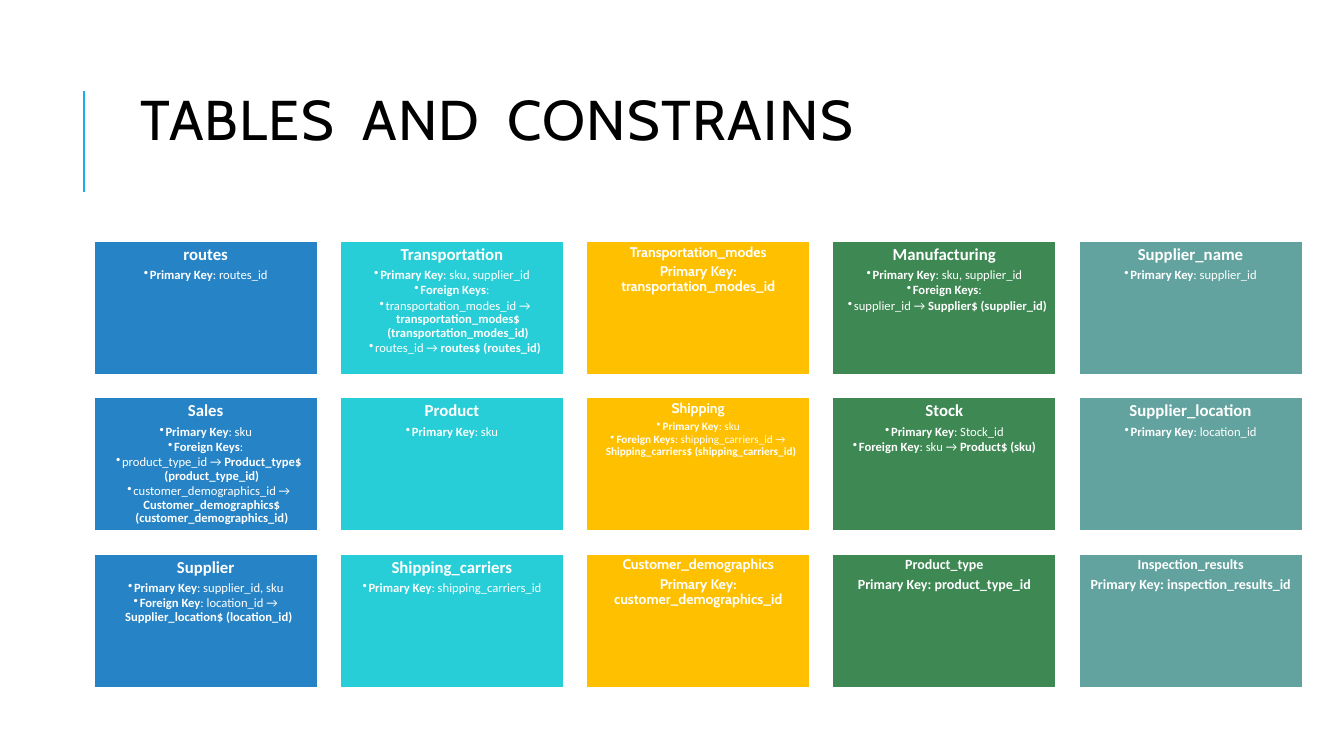
from lxml import etree
from pptx import Presentation
from pptx import util as u
from pptx.dml.color import RGBColor
from pptx.enum import shapes, text
from pptx.oxml.ns import qn

COLUMN_COLORS = ["2683C6", "27CED7", "FFC000", "3E8853", "62A39F"]
GOLD = "FFC000"

# name, font, heading size, detail size, [(level, text with *bold* parts)]
CARDS = [
    [
        ("routes", "Calibri", 12, 9, [(1, "*Primary Key*: routes_id")]),
        ("Transportation", "Calibri", 12, 9, [
            (1, "*Primary Key*: sku, supplier_id"),
            (1, "*Foreign Keys*:"),
            (2, "transportation_modes_id → *transportation_modes$ (transportation_modes_id)*"),
            (2, "routes_id → *routes$ (routes_id)*")]),
        ("Transportation_modes", "Cabin", 10, 10,
         [(0, "*Primary Key: transportation_modes_id*")]),
        ("Manufacturing", "Calibri", 12, 9, [
            (1, "*Primary Key*: sku, supplier_id"),
            (1, "*Foreign Keys*:"),
            (2, "supplier_id → *Supplier$ (supplier_id)*")]),
        ("Supplier_name", "Calibri", 12, 9, [(1, "*Primary Key*: supplier_id")]),
    ],
    [
        ("Sales", "Calibri", 12, 9, [
            (1, "*Primary Key*: sku"),
            (1, "*Foreign Keys*:"),
            (2, "product_type_id → *Product_type$ (product_type_id)*"),
            (2, "customer_demographics_id → *Customer_demographics$ (customer_demographics_id)*")]),
        ("Product", "Calibri", 12, 9, [(1, "*Primary Key*: sku")]),
        ("Shipping", "Cabin", 10, 8, [
            (1, "*Primary Key*: sku"),
            (1, "*Foreign Keys*: shipping_carriers_id → *Shipping_carriers$ (shipping_carriers_id)*")]),
        ("Stock", "Calibri", 12, 9, [
            (1, "*Primary Key*: Stock_id"),
            (1, "*Foreign Key*: sku → *Product$ (sku)*")]),
        ("Supplier_location", "Calibri", 12, 9, [(1, "*Primary Key*: location_id")]),
    ],
    [
        ("Supplier", "Calibri", 12, 9, [
            (1, "*Primary Key*: supplier_id, sku"),
            (1, "*Foreign Key*: location_id → *Supplier_location$ (location_id)*")]),
        ("Shipping_carriers", "Calibri", 12, 9, [(1, "*Primary Key*: shipping_carriers_id")]),
        ("Customer_demographics", "Cabin", 10, 10,
         [(0, "*Primary Key: customer_demographics_id*")]),
        ("Product_type", "Calibri", 10, 10, [(0, "*Primary Key: product_type_id*")]),
        ("Inspection_results", "Calibri", 10, 10,
         [(0, "*Primary Key: inspection_results_id*")]),
    ],
]


def rgb(value):
    return RGBColor.from_string(value)


def add_run(p, words, font, size, color, bold=False):
    r = p.add_run()
    r.text = words
    r.font.name = font
    r.font.size = u.Pt(size)
    r.font.bold = bold
    r.font.color.rgb = rgb(color)
    return r


def add_title(s, left, top, width, height):
    rule = s.shapes.add_connector(
        shapes.MSO_CONNECTOR.STRAIGHT, u.Inches(left - 0.47), u.Inches(top + 1.48),
        u.Inches(left - 0.47), u.Inches(top + 0.48))
    rule.line.color.rgb = rgb("1CADE4")
    rule.line.width = u.Pt(1.5)
    etree.SubElement(rule._element.spPr, qn("a:effectLst"))

    box = s.shapes.add_textbox(*map(u.Inches, (left, top, width, height)))
    tf = box.text_frame
    tf.word_wrap = True
    tf.vertical_anchor = text.MSO_ANCHOR.MIDDLE
    p = tf.paragraphs[0]
    p.line_spacing = 0.8
    for words, size, color in [("TABLES", 40, "000000"), (" ", 80, "0D0D0D"),
                               ("AND", 40, "000000"), (" ", 80, "0D0D0D"),
                               ("CONSTRAINS", 40, "000000")]:
        r = add_run(p, words, "Cabin", size, color)
        r.font._element.set("spc", "100")


def add_line(p, level, marked, font, size):
    p.alignment = text.PP_ALIGN.CENTER
    p.line_spacing = 0.9
    p.space_after = u.Pt(round(size * (0.12 if level else 0.28), 1))
    if level:
        p.level = level
        pPr = p._p.get_or_add_pPr()
        pPr.set("marL", str(u.Inches(0.06 * level)))
        pPr.set("indent", str(u.Inches(-0.06)))
        etree.SubElement(pPr, qn("a:buChar")).set("char", "•")
    for i, words in enumerate(marked.split("*")):
        if words:
            add_run(p, words, font, size, "FFFFFF", bold=i % 2 == 1)


def add_card(s, left, top, width, height, color, card):
    name, font, heading_size, detail_size, details = card
    sp = s.shapes.add_shape(shapes.MSO_SHAPE.RECTANGLE,
                            *map(u.Inches, (left, top, width, height)))
    sp.shadow.inherit = False
    sp.fill.solid()
    sp.fill.fore_color.rgb = rgb(color)
    sp.line.color.rgb = rgb("FFFFFF")
    sp.line.width = u.Pt(1.5 if color == GOLD else 1.25)
    tf = sp.text_frame
    tf.word_wrap = True
    tf.vertical_anchor = text.MSO_ANCHOR.TOP
    inset = u.Inches(0.05 if heading_size == 12 else 0.04)
    tf.margin_left = tf.margin_top = tf.margin_right = tf.margin_bottom = inset
    add_line(tf.paragraphs[0], 0, f"*{name}*", font, heading_size)
    for level, marked in details:
        add_line(tf.add_paragraph(), level, marked,
                 "Calibri" if level else font, detail_size)


def add_card_grid(s, left, top, card_width, card_height):
    gap = card_width * 0.1
    for row, cards in enumerate(CARDS):
        for col, card in enumerate(cards):
            add_card(s, left + col * (card_width + gap), top + row * (card_height + gap),
                     card_width, card_height, COLUMN_COLORS[col], card)


def main():
    prs = Presentation()
    prs.slide_width = u.Inches(13.33)
    prs.slide_height = u.Inches(7.5)
    s = prs.slides.add_slide(prs.slide_layouts[6])
    add_title(s, 1.3, 0.42, 10.23, 1.31)
    add_card_grid(s, 0.93, 2.39, 2.22, 1.33)
    prs.save("out.pptx")


if __name__ == "__main__":
    main()
